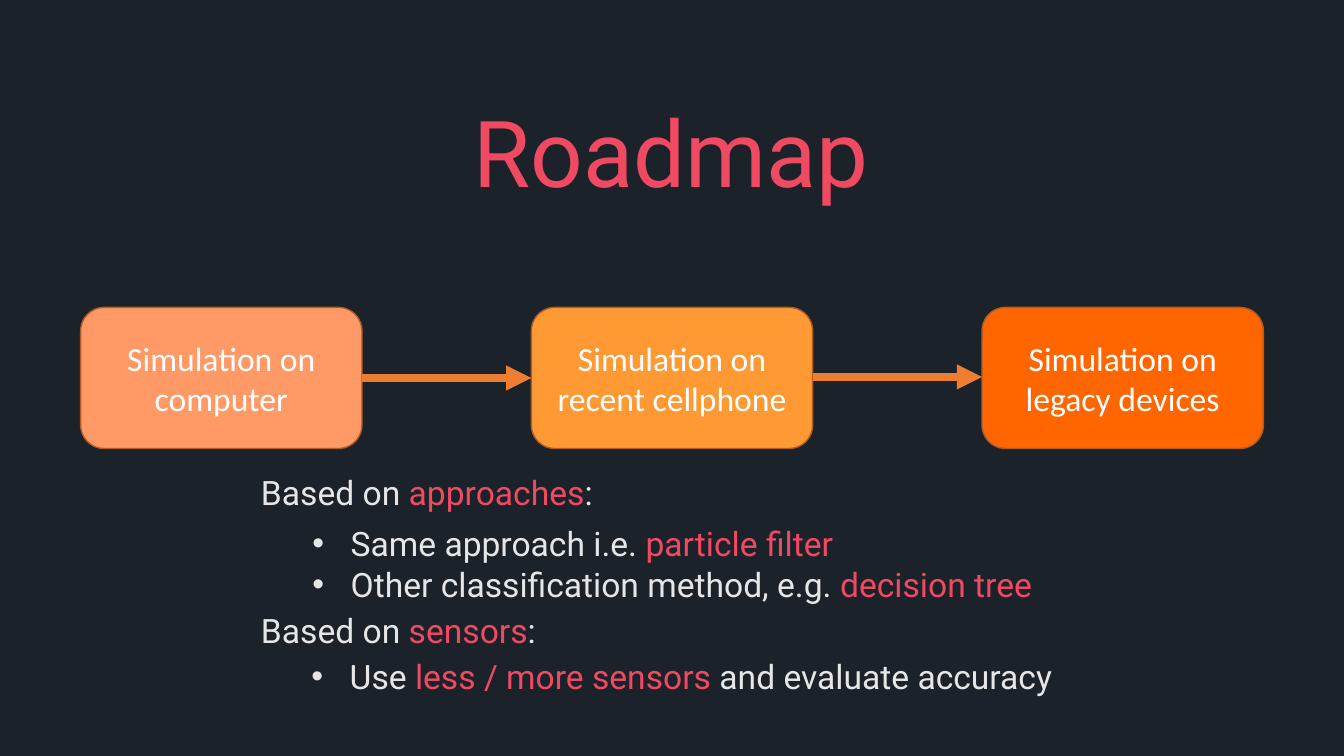
from pptx import Presentation
from pptx.dml.color import RGBColor
from pptx.enum.shapes import MSO_CONNECTOR as CONN, MSO_SHAPE as SHAPE
from pptx.enum.text import MSO_ANCHOR as ANCHOR, PP_ALIGN as ALIGN
from pptx.oxml.ns import qn
from pptx.util import Inches, Pt
from lxml.etree import SubElement

PINK, LIGHT = "F04962", "E7E6E6"


def rgb(color):
    return RGBColor.from_string(color)


def add_run(p, text, color, size=24, name="Roboto"):
    r = p.add_run()
    r.text = text
    for key, value in {"size": Pt(size), "name": name}.items():
        setattr(r.font, key, value)
    r.font.color.rgb = rgb(color)


prs = Presentation()
prs.slide_width, prs.slide_height = Inches(13.33), Inches(7.5)
s = prs.slides.add_slide(prs.slide_layouts[6])
s.background.fill.solid()
s.background.fill.fore_color.rgb = rgb("1B222A")

# Title
tf = s.shapes.add_textbox(*map(Inches, (3.59, 1.01, 6.14, 1.1))).text_frame
tf.word_wrap = True
tf.vertical_anchor = ANCHOR.MIDDLE
p = tf.paragraphs[0]
p.alignment, p.line_spacing = ALIGN.CENTER, 0.9
add_run(p, "Roadmap", PINK, 66)

# Steps, evenly spaced in one row
left, top, width, height, pitch = 0.8, 3.05, 2.79, 1.4, 4.47
steps = [("Simulation on computer", "FF9966"),
         ("Simulation on recent cellphone", "FF9933"),
         ("Simulation on legacy devices", "FF6600")]
for i, (label, color) in enumerate(steps):
    sp = s.shapes.add_shape(SHAPE.ROUNDED_RECTANGLE, Inches(left + i * pitch),
                            Inches(top), Inches(width), Inches(height))
    sp.shadow.inherit = False
    sp.fill.solid()
    sp.fill.fore_color.rgb = rgb(color)
    sp.line.color.rgb = rgb("AF5C24")
    sp.line.width = Pt(1)
    tf = sp.text_frame
    tf.word_wrap = True
    tf.vertical_anchor = ANCHOR.MIDDLE
    p = tf.paragraphs[0]
    p.alignment = ALIGN.CENTER
    add_run(p, label, "FFFFFF", name="Calibri")

# Arrows across the gaps
for i, y in enumerate((3.75, 3.74)):
    x = left + width + i * pitch
    cx = s.shapes.add_connector(CONN.STRAIGHT, Inches(x), Inches(y),
                                Inches(left + (i + 1) * pitch), Inches(y))
    cx.line.color.rgb = rgb("ED7D31")
    cx.line.width = Pt(6)
    SubElement(cx.line._get_or_add_ln(), qn("a:tailEnd"), type="triangle")
    SubElement(cx._element.spPr, qn("a:effectLst"))

# Notes below: position, bulleted or not, lines with *highlighted* words
notes = [
    ((2.49, 4.63, 3.89, 0.5), False, ["Based on *approaches*:"]),
    ((3, 5.14, 9.12, 0.91), True,
     ["Same approach i.e. *particle filter*",
      "Other classification method, e.g. *decision tree*"]),
    ((2.49, 6, 3.89, 0.5), False, ["Based on *sensors*:"]),
    ((2.99, 6.46, 9.12, 0.5), True,
     ["Use *less / more sensors *and evaluate accuracy"]),
]
for box, bulleted, lines in notes:
    tf = s.shapes.add_textbox(*map(Inches, box)).text_frame
    tf.word_wrap = True
    for i, line in enumerate(lines):
        p = tf.add_paragraph() if i else tf.paragraphs[0]
        if bulleted:
            pPr = p._p.get_or_add_pPr()
            for key, value in {"marL": 0.38, "indent": -0.38}.items():
                pPr.set(key, str(Inches(value)))
            SubElement(pPr, qn("a:buFont"), typeface="Arial")
            SubElement(pPr, qn("a:buChar"), char="•")
        for j, part in enumerate(line.split("*")):
            if part:
                add_run(p, part, PINK if j % 2 else LIGHT)

prs.save("out.pptx")
